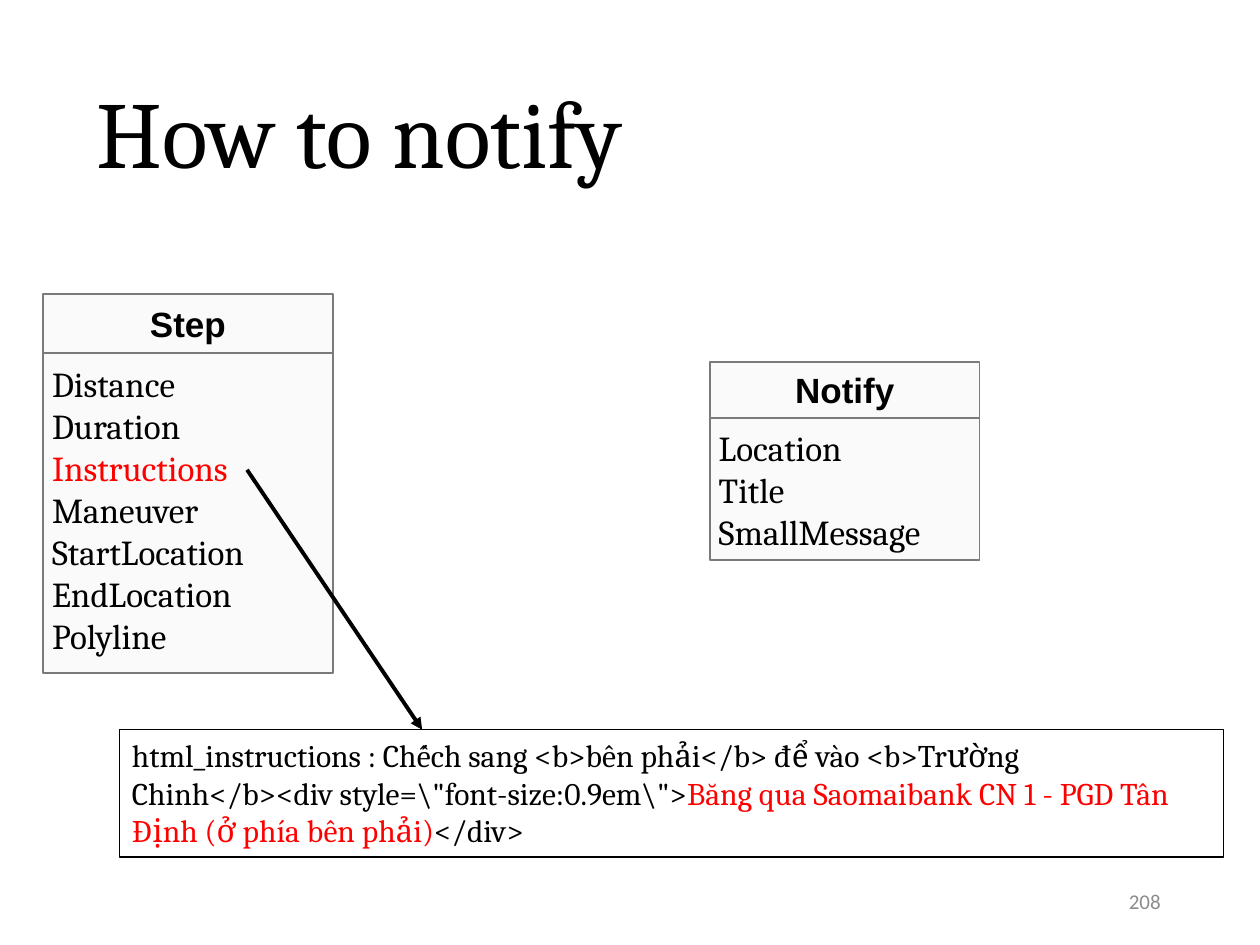
from lxml.etree import SubElement
from pptx import Presentation
from pptx.dml.color import RGBColor
from pptx.enum.shapes import MSO_CONNECTOR, MSO_SHAPE
from pptx.enum.text import MSO_ANCHOR, MSO_AUTO_SIZE, PP_ALIGN
from pptx.oxml.ns import qn
from pptx.util import Cm, Pt

BLACK, RED, GREY = "000000", "FF0000", "8C8C8C"
PALE, EDGE = "FAFAFA", "7A7A7A"


def color(code):
    return RGBColor.from_string(code)


class Deck:
    serif, sans, plain = "Cambria", "Arial", "Calibri"

    def __init__(self, prs):
        self.slide = prs.slides.add_slide(prs.slide_layouts[5])

    def style(self, run, size, face, ink=BLACK, bold=False):
        font = run.font
        font.size, font.name, font.bold = Pt(size), face, bold
        font.color.rgb = color(ink)

    def title(self, text, x, y, w, h):
        head = self.slide.shapes.title
        head.left, head.top, head.width, head.height = map(Cm, (x, y, w, h))
        frame = head.text_frame
        frame.text = text
        frame.auto_size = MSO_AUTO_SIZE.NONE
        frame.vertical_anchor = MSO_ANCHOR.MIDDLE
        para = frame.paragraphs[0]
        para.alignment, para.line_spacing = PP_ALIGN.LEFT, 0.9
        self.style(para.runs[0], 54, self.serif)

    def box(self, shapes, x, y, w, h, edge, width, fill=None):
        rect = shapes.add_shape(MSO_SHAPE.RECTANGLE, *map(Cm, (x, y, w, h)))
        rect.shadow.inherit = False
        if fill:
            rect.fill.solid()
            rect.fill.fore_color.rgb = color(fill)
        else:
            rect.fill.background()
        rect.line.color.rgb, rect.line.width = color(edge), Pt(width)
        rect.text_frame.word_wrap = True
        return rect.text_frame

    def entity(self, name, fields, x, y, w, head, body, marked=()):
        """Class box: a name bar over a list of fields."""
        shapes = self.slide.shapes.add_group_shape().shapes
        items = self.box(shapes, x, y + head, w, body, EDGE, 1, PALE)
        label = self.box(shapes, x, y, w, head, EDGE, 1, PALE)
        for frame in (items, label):
            frame.margin_left = frame.margin_right = Cm(0.18)
            frame.margin_top = frame.margin_bottom = Cm(0.18)
        items.vertical_anchor = MSO_ANCHOR.TOP
        items.text = "\n".join(fields)
        for para in items.paragraphs:
            para.alignment = PP_ALIGN.LEFT
            ink = RED if para.text in marked else BLACK
            self.style(para.runs[0], 20, self.serif, ink)
        label.vertical_anchor = MSO_ANCHOR.MIDDLE
        label.text = name
        label.paragraphs[0].alignment = PP_ALIGN.CENTER
        self.style(label.paragraphs[0].runs[0], 20, self.sans, bold=True)

    def note(self, parts, x, y, w, h):
        frame = self.box(self.slide.shapes, x, y, w, h, BLACK, 0.75)
        frame.auto_size = MSO_AUTO_SIZE.SHAPE_TO_FIT_TEXT
        frame.vertical_anchor = MSO_ANCHOR.TOP
        para = frame.paragraphs[0]
        para.alignment = PP_ALIGN.LEFT
        for text, ink in parts:
            run = para.add_run()
            run.text = text
            self.style(run, 18, self.serif, ink)

    def arrow(self, *ends):
        line = self.slide.shapes.add_connector(
            MSO_CONNECTOR.STRAIGHT, *map(Cm, ends))
        line.line.color.rgb, line.line.width = color(BLACK), Pt(2.25)
        props = line._element.spPr
        SubElement(props.find(qn("a:ln")), qn("a:tailEnd"), type="triangle")
        SubElement(props, qn("a:effectLst"))

    def number(self, text, x, y, w, h):
        frame = self.slide.shapes.add_textbox(*map(Cm, (x, y, w, h))).text_frame
        frame.text = text
        frame.word_wrap = True
        frame.vertical_anchor = MSO_ANCHOR.MIDDLE
        frame.paragraphs[0].alignment = PP_ALIGN.RIGHT
        self.style(frame.paragraphs[0].runs[0], 12, self.plain, GREY)


def main():
    prs = Presentation()
    prs.slide_width, prs.slide_height = Cm(25.4), Cm(19.05)
    deck = Deck(prs)
    deck.title("How to notify", 1.7, 1.19, 22.86, 3.18)

    # Class boxes
    deck.entity("Step", ["Distance", "Duration", "Instructions", "Maneuver",
                         "StartLocation", "EndLocation", "Polyline"],
                0.87, 5.93, 5.84, 1.19, 6.45, marked=["Instructions"])
    deck.entity("Notify", ["Location", "Title", "SmallMessage"],
                14.31, 7.3, 5.44, 1.12, 2.87)

    # Sample value of the marked field
    deck.arrow(4.98, 9.47, 8.51, 14.71)
    deck.note([
        ('html_instructions : Chếch sang <b>bên phải</b> để vào '
         '<b>Trường Chinh</b><div style=\\"font-size:0.9em\\">', BLACK),
        ("Băng qua Saomaibank CN 1 - PGD Tân Định (ở phía bên phải)", RED),
        ("</div>", BLACK),
    ], 2.41, 14.71, 22.25, 2.57)

    deck.number("208", 17.93, 17.65, 5.72, 1.02)
    prs.save("out.pptx")


if __name__ == "__main__":
    main()
